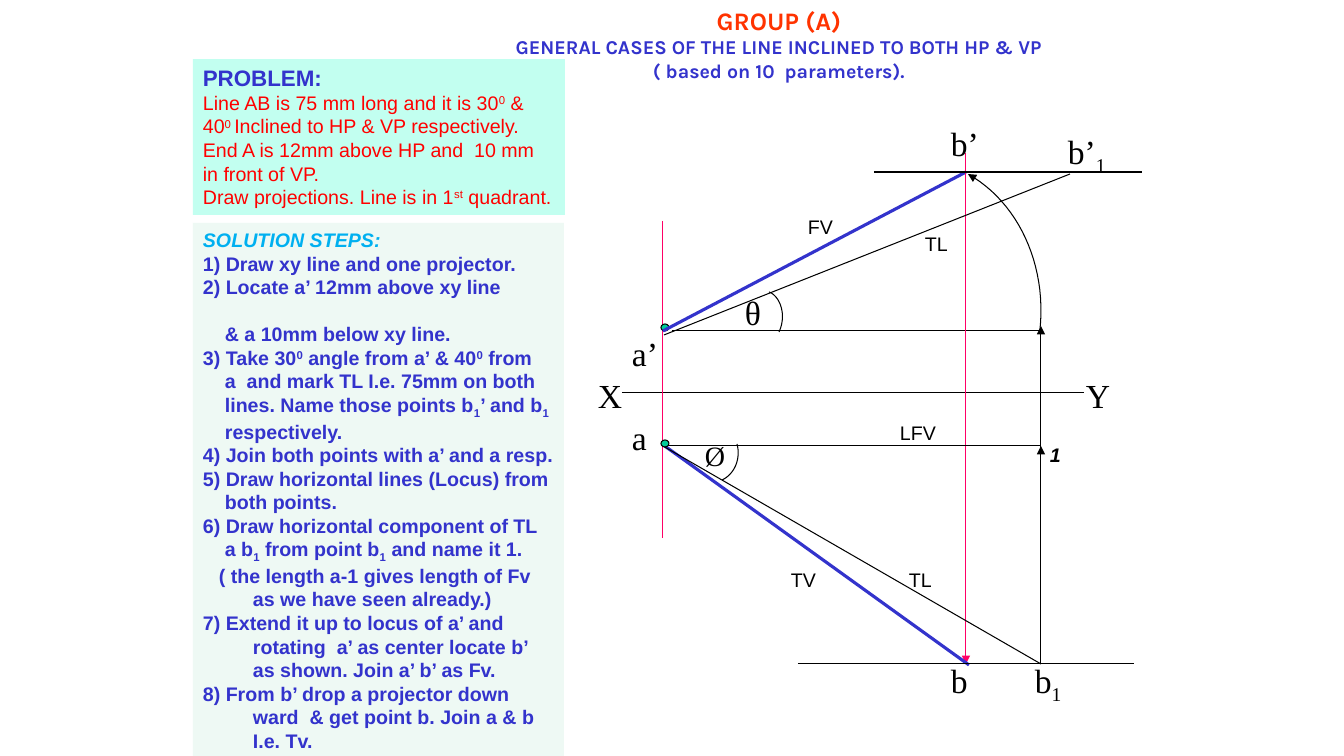
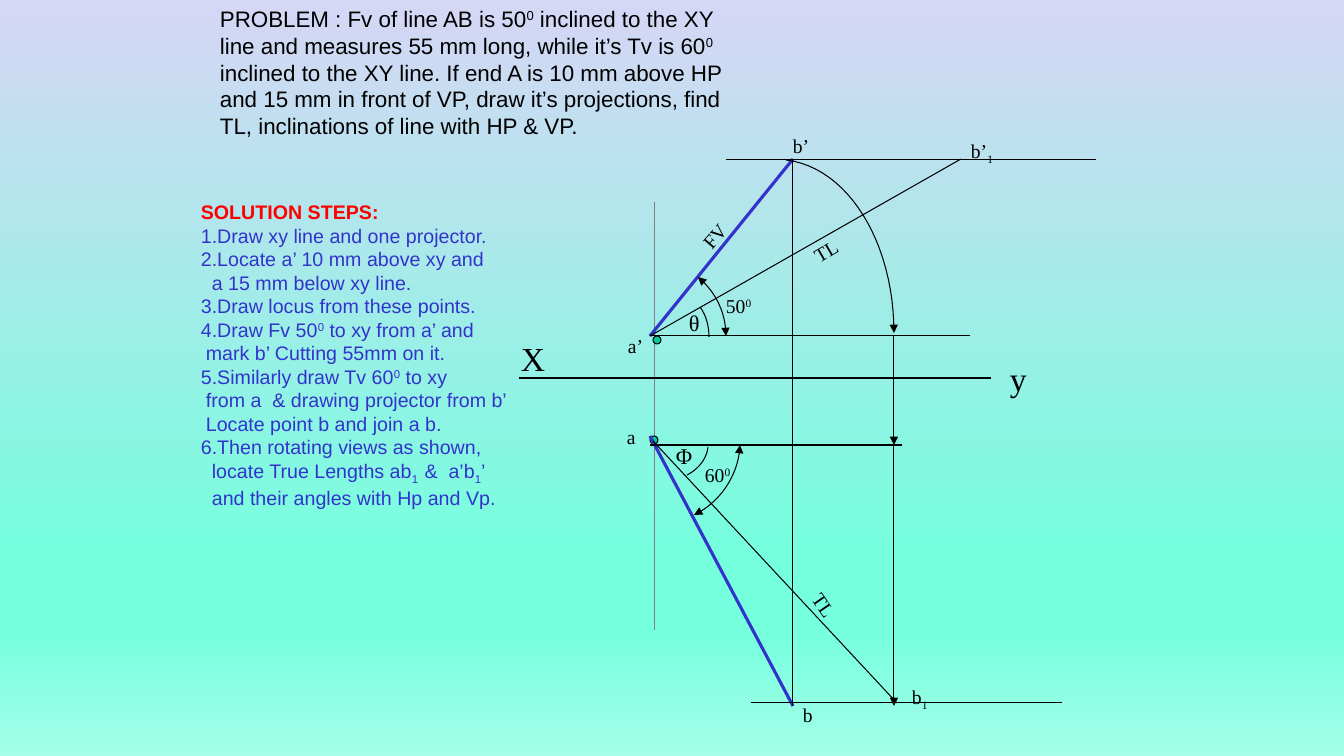
from copy import deepcopy
from dataclasses import dataclass, replace

from lxml.etree import SubElement
from pptx import Presentation
from pptx.dml.color import RGBColor
from pptx.enum.shapes import MSO_CONNECTOR, MSO_SHAPE
from pptx.enum.text import MSO_ANCHOR, MSO_AUTO_SIZE, PP_ALIGN
from pptx.oxml.ns import qn
from pptx.util import Pt

EMU_PER_PX = 914400 / 100.8
TITLE_ONLY, BLANK = 5, 6
BASELINES = {"^": "30000", "_": "-25000"}


def px(length):
    return round(length * EMU_PER_PX)


@dataclass(frozen=True)
class Style:
    font: str
    size: int
    color: str
    bold: bool = False
    italic: bool = False


class Theme:
    black, blue, red, pink, grey = "000000", "3333CC", "FF0000", "FF0066", "808080"
    orange, sky, point = "FF3300", "00B0F0", "00CC99"
    problem_panel, steps_panel = "C2FFF0", "EEF9F4"
    backdrop = ((0, "D6D6F5"), (0.74, "75FFDD"), (0.83, "75FFDD"), (1, "A3FFE8"))
    thin, thick = 0.75, 2.25

    group = Style("Karla", 18, orange, True)
    subtitle = Style("Karla", 14, blue, True)
    body = Style("Arial", 14, blue)
    strong = replace(body, bold=True)
    problem_head = replace(strong, size=16)
    problem = replace(body, color=red)
    steps_head = replace(strong, color=red)
    steps_italic = Style("Arial", 14, sky, True, True)
    statement = Style("Arial", 16, black)
    view = replace(body, color=black)
    number = replace(view, bold=True, italic=True)
    letter = Style("Times New Roman", 24, black)
    angle = replace(letter, size=20)
    small_angle = replace(letter, size=16)
    small_letter = replace(letter, size=14)


@dataclass
class Para:
    """Runs are split by |; a run that starts with ^ or _ is raised or lowered."""
    text: str
    style: Style
    first: int = 0
    hang: int = 0
    before: float = 0


class Board:
    """Holds the presentation and draws on its newest slide."""

    def __init__(self):
        self.deck = Presentation()
        self.deck.slide_width, self.deck.slide_height = px(1344), px(756)
        self.slide = None

    def new_slide(self, layout):
        self.slide = self.deck.slides.add_slide(self.deck.slide_layouts[layout])

    def gradient(self, colors):
        fill = self.slide.background.fill
        fill.gradient()
        fill.gradient_angle = 270
        stop = fill.gradient_stops[0]._gs
        for _ in range(len(colors) - 2):
            stop.addnext(deepcopy(stop))
        for stop, (position, color) in zip(fill.gradient_stops, colors):
            stop.position = position
            stop.color.rgb = RGBColor.from_string(color)

    def fill_frame(self, frame, paras, wrap=False, align=PP_ALIGN.LEFT):
        frame.word_wrap = wrap
        frame.auto_size = MSO_AUTO_SIZE.NONE
        frame.vertical_anchor = MSO_ANCHOR.TOP
        for index, para in enumerate(paras):
            paragraph = frame.add_paragraph() if index else frame.paragraphs[0]
            paragraph.alignment = align
            paragraph.space_before = Pt(para.before)
            properties = paragraph._p.get_or_add_pPr()
            properties.set("marL", str(px(para.hang)))
            properties.set("indent", str(px(para.first - para.hang)))
            for part in para.text.split("|"):
                self.add_run(paragraph, part, para.style)

    def add_run(self, paragraph, part, style):
        run = paragraph.add_run()
        baseline = BASELINES.get(part[0])
        run.text = part[1:] if baseline else part
        font = run.font
        font.name, font.size = style.font, Pt(style.size)
        font.bold, font.italic = style.bold, style.italic
        font.color.rgb = RGBColor.from_string(style.color)
        if baseline:
            run._r.get_or_add_rPr().set("baseline", baseline)

    def title(self, box, paras):
        heading = self.slide.shapes.title
        heading.left, heading.top, heading.width, heading.height = map(px, box)
        self.fill_frame(heading.text_frame, paras, align=PP_ALIGN.CENTER)

    def text(self, box, paras, wrap=False, rotation=0):
        area = self.slide.shapes.add_textbox(*map(px, box))
        area.rotation = rotation
        self.fill_frame(area.text_frame, paras, wrap)

    def label(self, text, style, left, top, width, rotation=0):
        height = round(style.size * 1.68) + 10
        self.text((left, top, width, height), [Para(text, style)], rotation=rotation)

    def shape(self, kind, box, fill):
        shape = self.slide.shapes.add_shape(kind, *map(px, box))
        shape.shadow.inherit = False
        shape.fill.solid()
        shape.fill.fore_color.rgb = RGBColor.from_string(fill)
        return shape

    def panel(self, box, fill, paras, wrap=False):
        panel = self.shape(MSO_SHAPE.RECTANGLE, box, fill)
        panel.line.fill.background()
        self.fill_frame(panel.text_frame, paras, wrap)

    def point(self, left, top, height):
        dot = self.shape(MSO_SHAPE.OVAL, (left, top, 8, height), Theme.point)
        self.stroke(dot, Theme.black, Theme.thin)

    def stroke(self, shape, color, weight, start=False, end=False):
        """Sets the outline, with arrowheads at the start and end if asked."""
        shape.line.color.rgb = RGBColor.from_string(color)
        shape.line.width = Pt(weight)
        outline = shape.line._get_or_add_ln()
        for tag, wanted in (("a:headEnd", start), ("a:tailEnd", end)):
            if wanted:
                SubElement(outline, qn(tag), type="triangle")

    def line(self, x1, y1, x2, y2, color=Theme.black, weight=Theme.thin, end=False):
        line = self.slide.shapes.add_connector(
            MSO_CONNECTOR.STRAIGHT, px(x1), px(y1), px(x2), px(y2))
        self.stroke(line, color, weight, end=end)
        SubElement(line._element.spPr, qn("a:effectLst"))

    def arc(self, *controls, start=False, end=False):
        """Draws one cubic curve through its four control points."""
        steps = 24
        points = []
        for step in range(steps + 1):
            t = step / steps
            weights = ((1 - t) ** 3, 3 * t * (1 - t) ** 2, 3 * t * t * (1 - t), t ** 3)
            points.append(tuple(
                px(sum(w * c[axis] for w, c in zip(weights, controls))) for axis in (0, 1)))
        builder = self.slide.shapes.build_freeform(*points[0])
        builder.add_line_segments(points[1:], close=False)
        arc = builder.convert_to_shape()
        arc.shadow.inherit = False
        arc.fill.background()
        self.stroke(arc, Theme.black, Theme.thin, start, end)


def general_case(board):
    board.new_slide(TITLE_ONLY)
    board.title((476, 0, 606, 89), [
        Para("GROUP (A)", Theme.group),
        Para("GENERAL CASES OF THE LINE INCLINED TO BOTH HP & VP", Theme.subtitle),
        Para("( based on 10  parameters).", Theme.subtitle),
    ])

    board.arc((769, 292), (780, 296), (787, 315), (779, 332))
    board.arc((737, 444), (741, 458), (735, 474), (722, 480))
    board.line(622, 393, 1084, 393)
    board.line(663, 221, 663, 538, Theme.pink)
    board.point(661, 324, 7)
    board.line(672, 331, 1041, 331)
    board.line(663, 331, 966, 172, Theme.blue, Theme.thick)
    board.line(966, 153, 966, 664, Theme.pink, end=True)
    board.arc((968, 174), (1018, 202), (1047, 264), (1040, 330), start=True)
    board.line(662, 444, 969, 665, Theme.blue, Theme.thick)
    for ends in (
        (798, 664, 1134, 664), (663, 446, 1041, 446), (663, 446, 1041, 664),
        (664, 335, 1070, 174), (874, 172, 1142, 172),
    ):
        board.line(*ends)
    for top in (326, 446):
        board.line(1041, 664, 1041, top, end=True)
    board.point(661, 440, 7)

    for name, left, top, width in (
        ("a’", 622, 328, 46), ("b’", 941, 118, 48), ("a", 622, 412, 35),
        ("b", 941, 655, 37), ("X", 588, 370, 58), ("Y", 1076, 370, 44),
        ("b’|_1", 1058, 126, 59), ("b|_1", 1025, 655, 48), ("θ", 735, 287, 38),
    ):
        board.label(name, Theme.letter, left, top, width)
    board.label("Ø", Theme.angle, 695, 434, 40)
    board.label("1", Theme.number, 1040, 438, 31)
    for name, left, top, width in (
        ("LFV", 890, 416, 56), ("TL", 915, 227, 43), ("TL", 899, 563, 43),
        ("FV", 798, 210, 45), ("TV", 781, 563, 45),
    ):
        board.label(name, Theme.view, left, top, width)

    board.panel((193, 59, 372, 156), Theme.problem_panel, [
        Para("PROBLEM:", Theme.problem_head),
        *(Para(text, Theme.problem) for text in (
            "Line AB is 75 mm long and it is 30|^0| &",
            "40|^0 |Inclined to HP & VP respectively.",
            "End A is 12mm above HP and  10 mm",
            "in front of VP.",
            "Draw projections. Line is in 1|^st| quadrant.",
        )),
    ])
    inset, hang, skipped_line = 22, 50, 16.8
    steps = (
        ("1) Draw xy line and one projector.",),
        ("2) Locate a’ 12mm above xy line",),
        ("& a 10mm below xy line.", inset, hang, skipped_line),
        ("3) Take 30|^0| angle from a’ & 40|^0| from",),
        ("a  and mark TL I.e. 75mm on both", inset),
        ("lines. Name those points b|_1|’ and b|_1", inset),
        ("respectively.", inset),
        ("4) Join both points with a’ and a resp.",),
        ("5) Draw horizontal lines (Locus) from",),
        ("both points.", inset),
        ("6) Draw horizontal component of TL",),
        ("a b|_1| from point b|_1| and name it 1.", inset),
        ("( the length a-1 gives length of Fv as we have seen already.)", 16, hang),
        ("7) Extend it up to locus of a’ and rotating  a’ as center locate b’ "
         "as shown. Join a’ b’ as Fv.", 0, hang),
        ("8) From b’ drop a projector down ward  & get point b. Join a & b I.e. Tv.",
         0, hang),
    )
    board.panel((193, 223, 371, 533), Theme.steps_panel, [
        Para("SOLUTION STEPS:", Theme.steps_italic),
        *(Para(text, Theme.strong, *spacing) for text, *spacing in steps),
    ], wrap=True)


def views_given(board):
    board.new_slide(BLANK)
    board.gradient(Theme.backdrop)

    board.line(655, 202, 655, 630, Theme.grey)
    board.point(653, 336, 8)
    board.point(650, 436, 8)
    board.line(650, 336, 793, 159, Theme.blue, Theme.thick)
    board.line(793, 706, 650, 436, Theme.blue, Theme.thick)
    for ends in (
        (519, 378, 991, 378), (726, 160, 1096, 160), (650, 336, 970, 336),
        (650, 445, 902, 445), (793, 159, 793, 706), (751, 703, 1062, 703),
        (653, 441, 897, 703), (650, 336, 961, 159),
    ):
        board.line(*ends)
    board.line(894, 445, 894, 706, end=True)
    board.line(894, 336, 894, 445, end=True)

    board.arc((786, 160), (847, 167), (894, 241), (894, 333), end=True)
    board.arc((698, 277), (716, 292), (726, 313), (726, 336), start=True, end=True)
    board.arc((740, 445), (739, 474), (721, 502), (694, 515), start=True, end=True)
    board.arc((700, 307), (706, 315), (709, 326), (709, 337))
    board.arc((708, 447), (707, 458), (699, 469), (687, 475))

    board.label("X", Theme.letter, 511, 333, 44)
    board.label("y", Theme.letter, 1000, 353, 37)
    board.label("θ", Theme.small_angle, 679, 304, 32)
    board.label("Φ", Theme.small_angle, 666, 437, 37)
    for name, left, top, width, *rotation in (
        ("a’", 618, 329, 35), ("a", 617, 420, 29), ("b’", 783, 129, 36),
        ("b", 793, 698, 30), ("b|_1", 902, 680, 36), ("b’|_1", 961, 134, 43),
        ("50|^0", 716, 289, 46), ("60|^0", 695, 458, 46),
        ("FV", 692, 219, 45, 310.6), ("TL", 802, 588, 44, 55.4),
        ("TL", 804, 234, 44, 329.9),
    ):
        board.label(name, Theme.small_letter, left, top, width, *rotation)

    board.text((210, 0, 529, 146), [Para(
        "PROBLEM : Fv of line AB is 50|^0| inclined to the XY line and measures 55 mm "
        "long, while it’s Tv is 60|^0| inclined to the XY line. If end A is 10 mm above "
        "HP and 15 mm in front of VP, draw it’s projections, find TL, inclinations of "
        "line with HP & VP.", Theme.statement)], wrap=True)
    steps = (
        ("1.Draw xy line and one projector.",),
        ("2.Locate a’ 10 mm above xy and",),
        ("a 15 mm below xy line.", 11),
        ("3.Draw locus from these points.",),
        ("4.Draw Fv 50|^0| to xy from a’ and",),
        ("mark b’ Cutting 55mm on it.", 5),
        ("5.Similarly draw Tv 60|^0| to xy",),
        ("from a  & drawing projector from b’", 5),
        ("Locate point b and join a b.", 5),
        ("6.Then rotating views as shown,",),
        ("locate True Lengths ab|_1  |&  a’b|_1|’", 11),
        ("and their angles with Hp and Vp.", 11),
    )
    board.text((191, 195, 329, 343), [
        Para("SOLUTION STEPS:", Theme.steps_head),
        *(Para(text, Theme.body, *inset) for text, *inset in steps),
    ])


def main():
    board = Board()
    general_case(board)
    views_given(board)
    board.deck.save("out.pptx")


if __name__ == "__main__":
    main()
